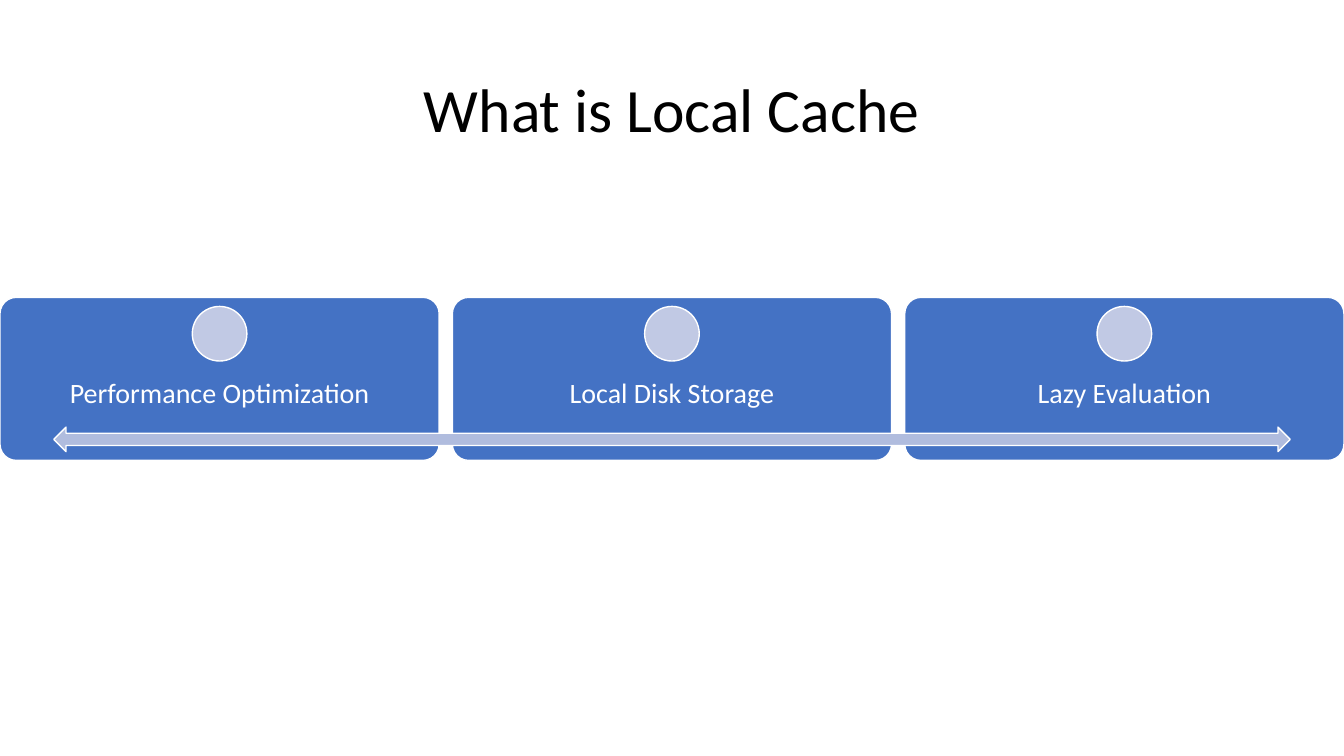
from pptx import Presentation
from pptx.dml.color import RGBColor as RGB
from pptx.enum.shapes import MSO_SHAPE as Kind
from pptx.enum.text import MSO_ANCHOR as Anchor, PP_ALIGN as Align
from pptx.util import Pt

BLACK = RGB(0x00, 0x00, 0x00)
WHITE = RGB(0xFF, 0xFF, 0xFF)
BLUE = RGB(0x44, 0x72, 0xC4)
PALE = RGB(0xC1, 0xC9, 0xE4)
MIST = RGB(0xB0, 0xBC, 0xDE)

WIDE, HIGH = 960, 540
GAP = 9.4
TOPICS = ["Performance Optimization", "Local Disk Storage", "Lazy Evaluation"]


def apply(item, form):
    """Set each attribute named in form on item."""
    for name, value in form.items():
        setattr(item, name, value)


def add_form(slide, kind, box, color):
    """Draw a filled preset shape with a thin white outline."""
    form = slide.shapes.add_shape(kind, *map(Pt, box))
    form.shadow.inherit = False
    form.fill.solid()
    form.fill.fore_color.rgb = color
    form.line.color.rgb = WHITE
    form.line.width = Pt(1)
    return form


def add_label(slide, box, text, size, color, inset, after=0):
    """Write one centred line in the middle of the box."""
    frame = slide.shapes.add_textbox(*map(Pt, box)).text_frame
    apply(frame, {"word_wrap": True, "vertical_anchor": Anchor.MIDDLE})
    apply(frame, {f"margin_{side}": Pt(inset)
                  for side in ("left", "top", "right", "bottom")})
    line = frame.paragraphs[0]
    apply(line, {"text": text, "alignment": Align.CENTER,
                 "line_spacing": 0.9, "space_after": Pt(after)})
    apply(line.runs[0].font, {"name": "Calibri", "size": Pt(size)})
    line.runs[0].font.color.rgb = color


def add_card(slide, box, topic):
    """Draw a topic card with its dot and label."""
    left, top, width, height = box
    dot = 39
    card = add_form(slide, Kind.ROUNDED_RECTANGLE, box, BLUE)
    card.adjustments[0] = 0.1
    add_label(slide, (left, top + 46, width, 47), topic, 20, WHITE, 11.5, 7)
    add_form(slide, Kind.OVAL,
             (left + (width - dot) / 2, top + 6.5, dot, dot), PALE)


def add_band(slide, box):
    """Draw the row of cards and the arrow across them."""
    left, top, width, height = box
    count = len(TOPICS)
    span = (width - GAP * (count - 1)) / count
    for index, topic in enumerate(TOPICS):
        add_card(slide, (left + index * (span + GAP), top, span, height), topic)
    edge = width * 0.04
    add_form(slide, Kind.LEFT_RIGHT_ARROW,
             (left + edge, top + 92.7, width - 2 * edge, 17.5), MIST)


def main():
    """Build and save the slide."""
    deck = Presentation()
    apply(deck, {"slide_width": Pt(WIDE), "slide_height": Pt(HIGH)})
    slide = deck.slides.add_slide(deck.slide_layouts[6])
    add_label(slide, (0, 0, WIDE, 160.5), "What is Local Cache", 44, BLACK, 4)
    add_band(slide, (0, 212.4, WIDE, 116.5))
    deck.save("out.pptx")


if __name__ == "__main__":
    main()
